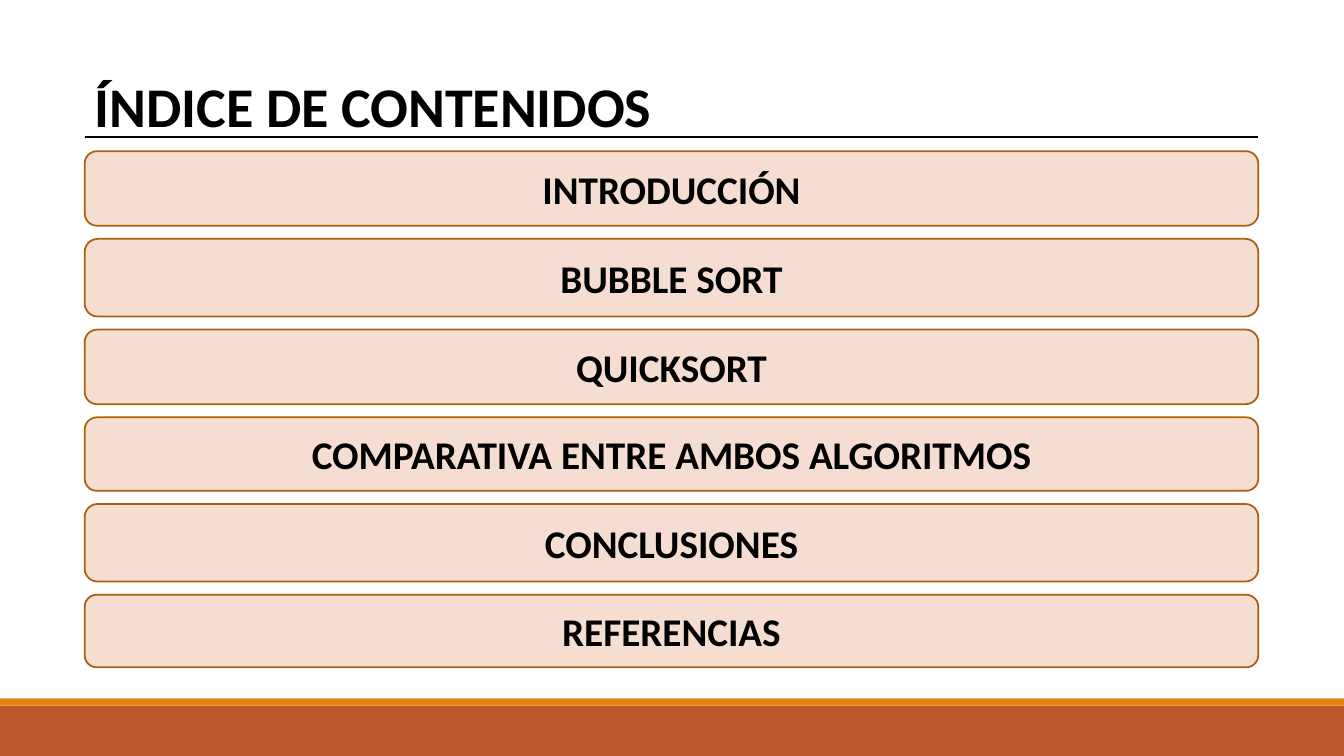
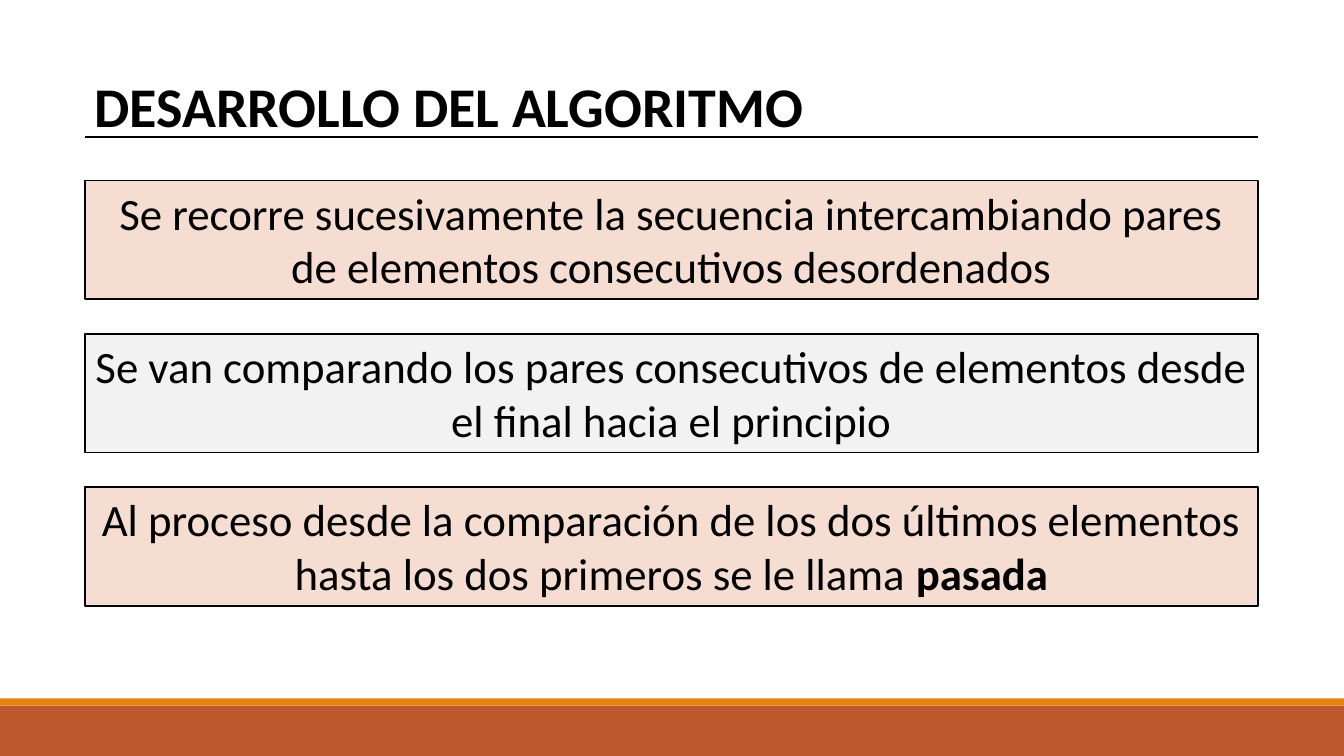
from lxml import etree
from pptx import Presentation
from pptx.dml.color import RGBColor
from pptx.enum import shapes, text
from pptx.oxml.ns import qn
from pptx.util import Inches, Pt

BLACK = RGBColor(0x00, 0x00, 0x00)
RUST = RGBColor(0xBD, 0x58, 0x2C)
ORANGE = RGBColor(0xE4, 0x83, 0x12)
BROWN = RGBColor(0xA9, 0x61, 0x0D)
PEACH = RGBColor(0xF5, 0xDD, 0xD2)
GREY = RGBColor(0xF2, 0xF2, 0xF2)

WIDTH, HEIGHT = 13.33, 7.5
LEFT, CONTENT_WIDTH = 0.84, 11.64
RECT = shapes.MSO_SHAPE.RECTANGLE
ROUNDED = shapes.MSO_SHAPE.ROUNDED_RECTANGLE


class Deck:
    font = "Calibri"
    line_width = Pt(1.25)

    def __init__(self):
        self.prs = Presentation()
        self.prs.slide_width = Inches(WIDTH)
        self.prs.slide_height = Inches(HEIGHT)
        self.s = None

    def slide(self, title):
        self.s = self.prs.slides.add_slide(self.prs.slide_layouts[6])
        self.shape(RECT, 0, 7, WIDTH, 0.5, RUST)
        self.shape(RECT, 0, 6.93, WIDTH, 0.07, ORANGE)
        sp = self.s.shapes.add_textbox(
            Inches(LEFT), Inches(0.66), Inches(CONTENT_WIDTH), Inches(0.77))
        self.label(sp, [(title, True)], 40, text.PP_ALIGN.LEFT, text.MSO_ANCHOR.TOP)
        self.rule(1.36)

    def shape(self, kind, left, top, width, height, fill, line=None):
        sp = self.s.shapes.add_shape(
            kind, Inches(left), Inches(top), Inches(width), Inches(height))
        sp.shadow.inherit = False
        sp.fill.solid()
        sp.fill.fore_color.rgb = fill
        if line is None:
            sp.line.fill.background()
        else:
            sp.line.color.rgb = line
            sp.line.width = self.line_width
        return sp

    def label(self, sp, runs, size, align, anchor):
        tf = sp.text_frame
        tf.word_wrap = True
        tf.vertical_anchor = anchor
        p = tf.paragraphs[0]
        p.alignment = align
        p.font.name = self.font
        p.font.size = Pt(size)
        p.font.color.rgb = BLACK
        for words, bold in runs:
            r = p.add_run()
            r.text = words
            r.font.bold = bold

    def rule(self, y):
        line = self.s.shapes.add_connector(
            shapes.MSO_CONNECTOR.STRAIGHT, Inches(LEFT), Inches(y),
            Inches(LEFT + CONTENT_WIDTH), Inches(y))
        line.line.color.rgb = BLACK
        line.line.width = self.line_width
        etree.SubElement(line._element.spPr, qn("a:effectLst"))

    def index_bar(self, top, height, heading):
        sp = self.shape(ROUNDED, LEFT, top, CONTENT_WIDTH, height, PEACH, BROWN)
        self.label(sp, [(heading, True)], 28, text.PP_ALIGN.CENTER, text.MSO_ANCHOR.MIDDLE)

    def statement(self, top, fill, runs):
        sp = self.shape(RECT, LEFT, top, CONTENT_WIDTH, 1.18, fill, BLACK)
        self.label(sp, runs, 32, text.PP_ALIGN.CENTER, text.MSO_ANCHOR.TOP)


def main():
    deck = Deck()

    deck.slide("ÍNDICE DE CONTENIDOS")
    top, gap = 1.5, 0.13
    for heading, height in [
        ("INTRODUCCIÓN", 0.74),
        ("BUBBLE SORT", 0.77),
        ("QUICKSORT", 0.74),
        ("COMPARATIVA ENTRE AMBOS ALGORITMOS", 0.73),
        ("CONCLUSIONES", 0.77),
        ("REFERENCIAS", 0.72),
    ]:
        deck.index_bar(top, height, heading)
        top += height + gap

    deck.slide("DESARROLLO DEL ALGORITMO")
    statements = [
        (PEACH, [("Se recorre sucesivamente la secuencia intercambiando pares "
                  "de elementos consecutivos desordenados", False)]),
        (GREY, [("Se van comparando los pares consecutivos de elementos desde "
                 "el final hacia el principio", False)]),
        (PEACH, [("Al proceso desde la comparación de los dos últimos elementos "
                  "hasta los dos primeros se le llama ", False), ("pasada", True)]),
    ]
    for i, (fill, runs) in enumerate(statements):
        deck.statement(1.79 + 1.52 * i, fill, runs)

    deck.prs.save("out.pptx")


if __name__ == "__main__":
    main()
